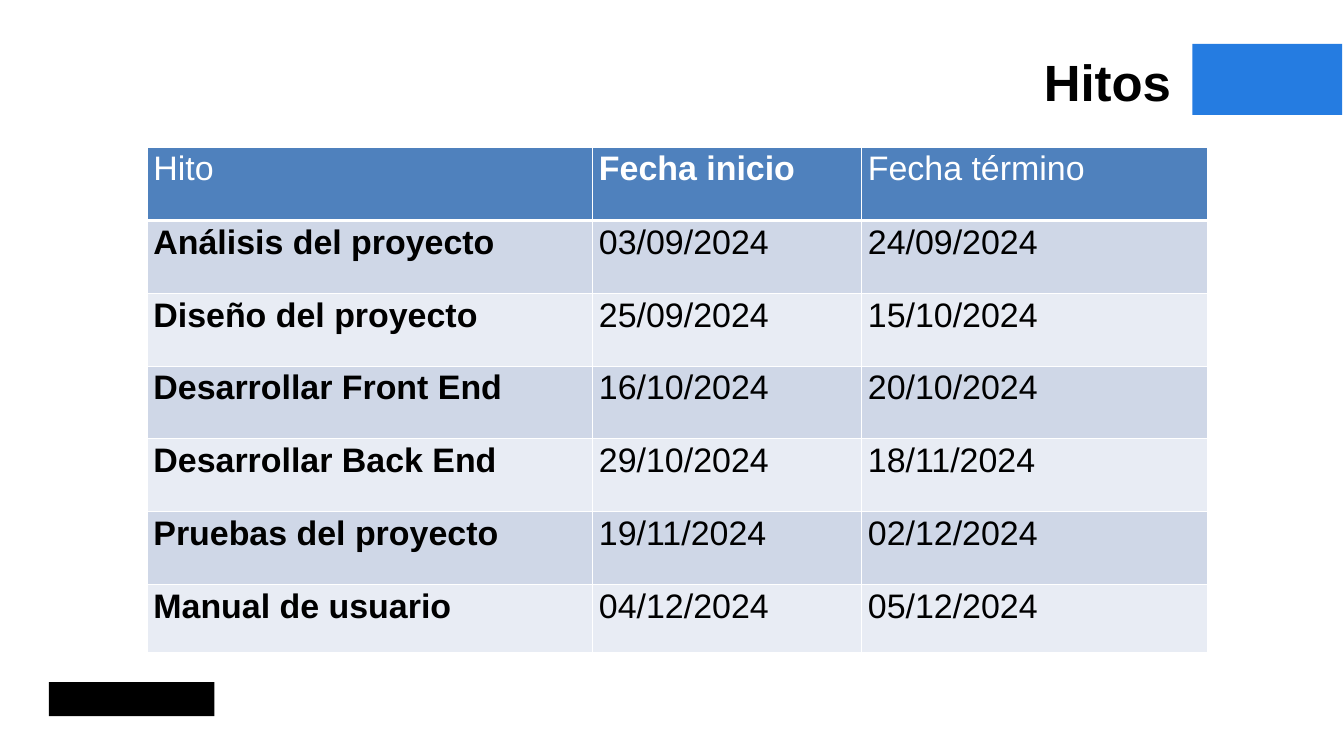
from lxml.etree import SubElement
from pptx import Presentation
from pptx.dml.color import RGBColor
from pptx.enum.shapes import MSO_SHAPE as Shape
from pptx.enum.text import MSO_AUTO_SIZE as AutoSize, PP_ALIGN as Align
from pptx.oxml.ns import qn
from pptx.util import Pt

BLACK, WHITE, BLUE = "000000", "FFFFFF", "257CE1"
HEADER, BANDS = "4F81BD", ("CFD7E7", "E8ECF4")

MILESTONES = [
    ("Hito", "Fecha inicio", "Fecha término"),
    ("Análisis del proyecto", "03/09/2024", "24/09/2024"),
    ("Diseño del proyecto", "25/09/2024", "15/10/2024"),
    ("Desarrollar Front End", "16/10/2024", "20/10/2024"),
    ("Desarrollar Back End", "29/10/2024", "18/11/2024"),
    ("Pruebas del proyecto", "19/11/2024", "02/12/2024"),
    ("Manual de usuario", "04/12/2024", "05/12/2024"),
]


def color(value):
    return RGBColor.from_string(value)


class SlideBuilder:
    def __init__(self, page, font="Arial"):
        self.page = page
        self.font = font

    def style(self, para, size, ink, bold):
        font = para.font
        font.name, font.size, font.bold = self.font, Pt(size), bold
        font.color.rgb = color(ink)

    def block(self, left, top, width, height, fill):
        block = self.page.shapes.add_shape(
            Shape.RECTANGLE, Pt(left), Pt(top), Pt(width), Pt(height))
        block.shadow.inherit = False
        block.fill.solid()
        block.fill.fore_color.rgb = color(fill)
        block.line.fill.background()

    def title(self, left, top, width, height, text):
        box = self.page.shapes.add_textbox(Pt(left), Pt(top), Pt(width), Pt(height))
        frame = box.text_frame
        frame.word_wrap = True
        frame.auto_size = AutoSize.SHAPE_TO_FIT_TEXT
        frame.margin_left = frame.margin_right = 0
        frame.margin_top = frame.margin_bottom = 0
        para = frame.paragraphs[0]
        para.text = text
        para.alignment = Align.RIGHT
        self.style(para, 60, BLACK, True)

    def borders(self, cell, bottom):
        properties = cell._tc.get_or_add_tcPr()
        widths = {"a:lnL": 1, "a:lnR": 1, "a:lnT": 1, "a:lnB": bottom}
        for position, (side, width) in enumerate(widths.items()):
            line = SubElement(properties, qn(side), w=str(Pt(width)))
            fill = SubElement(line, qn("a:solidFill"))
            SubElement(fill, qn("a:srgbClr"), val=WHITE)
            properties.insert(position, line)

    def table(self, left, top, widths, heights, rows):
        table = self.page.shapes.add_table(
            len(rows), len(widths), Pt(left), Pt(top),
            Pt(sum(widths)), Pt(sum(heights))).table
        table.horz_banding = False
        for column, width in zip(table.columns, widths):
            column.width = Pt(width)
        for row, height in zip(table.rows, heights):
            row.height = Pt(height)
        for row, texts in enumerate(rows):
            header = row == 0
            # The header stresses the start date, the body its first column
            bold_column = 1 if header else 0
            for column, text in enumerate(texts):
                cell = table.cell(row, column)
                cell.text = text
                self.style(cell.text_frame.paragraphs[0], 40,
                           WHITE if header else BLACK, column == bold_column)
                cell.fill.solid()
                cell.fill.fore_color.rgb = color(
                    HEADER if header else BANDS[(row - 1) % 2])
                self.borders(cell, bottom=3 if row == 0 else 1)


def main():
    deck = Presentation()
    deck.slide_width, deck.slide_height = Pt(1583.28), Pt(890.64)
    slide = SlideBuilder(deck.slides.add_slide(deck.slide_layouts[6]))

    # Footer mark and corner accent
    slide.block(57.6, 803.5, 195, 40.3, BLACK)
    slide.block(1404.7, 51.8, 176.4, 83.5, BLUE)

    # Title
    slide.title(57.6, 59.8, 1322, 72.7, "Hitos")

    # Milestone table
    slide.table(173.5, 173.5, [524.9, 316.8, 407.5],
                [86.4] + [85.7] * 5 + [79.9], MILESTONES)

    deck.save("out.pptx")


if __name__ == "__main__":
    main()
